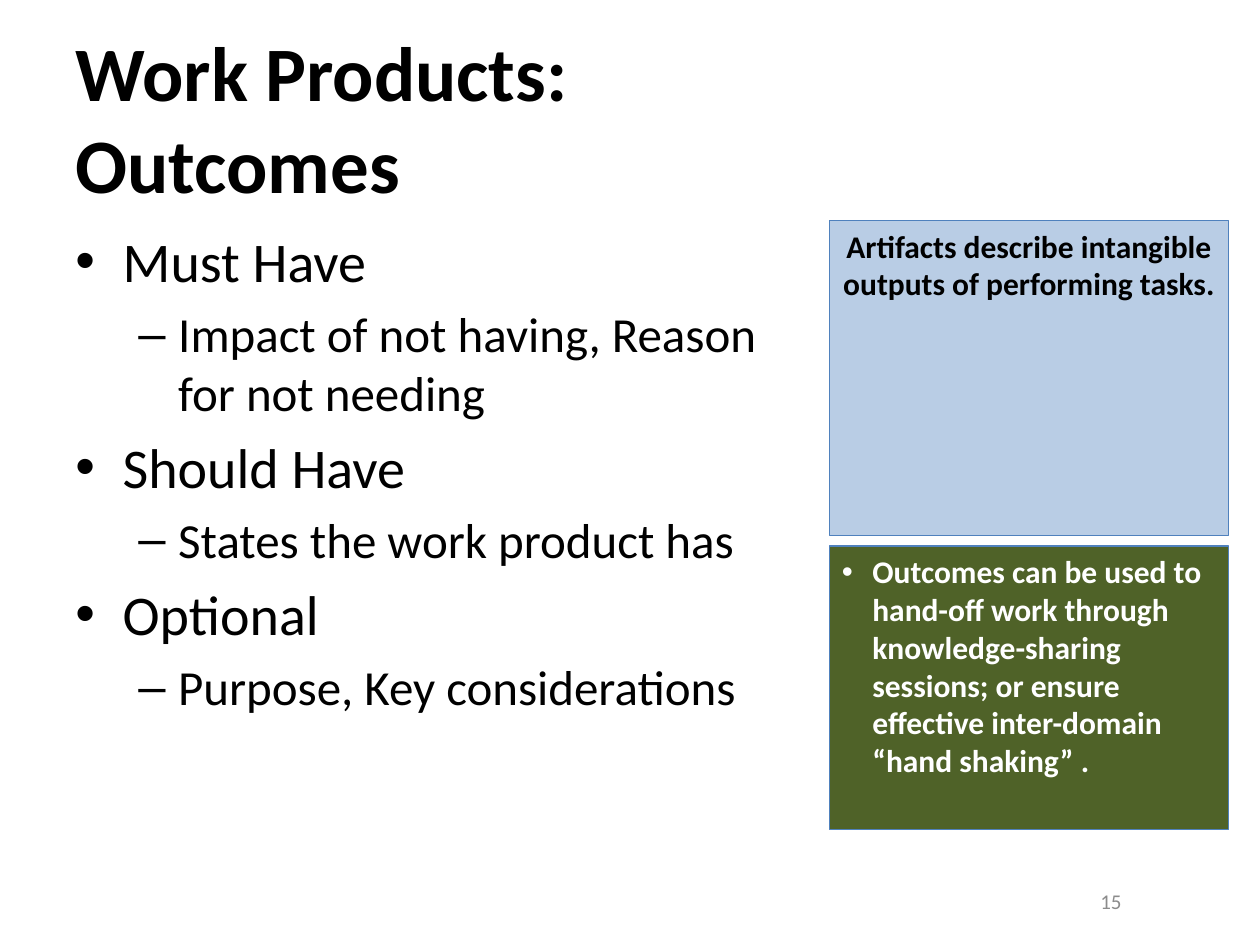
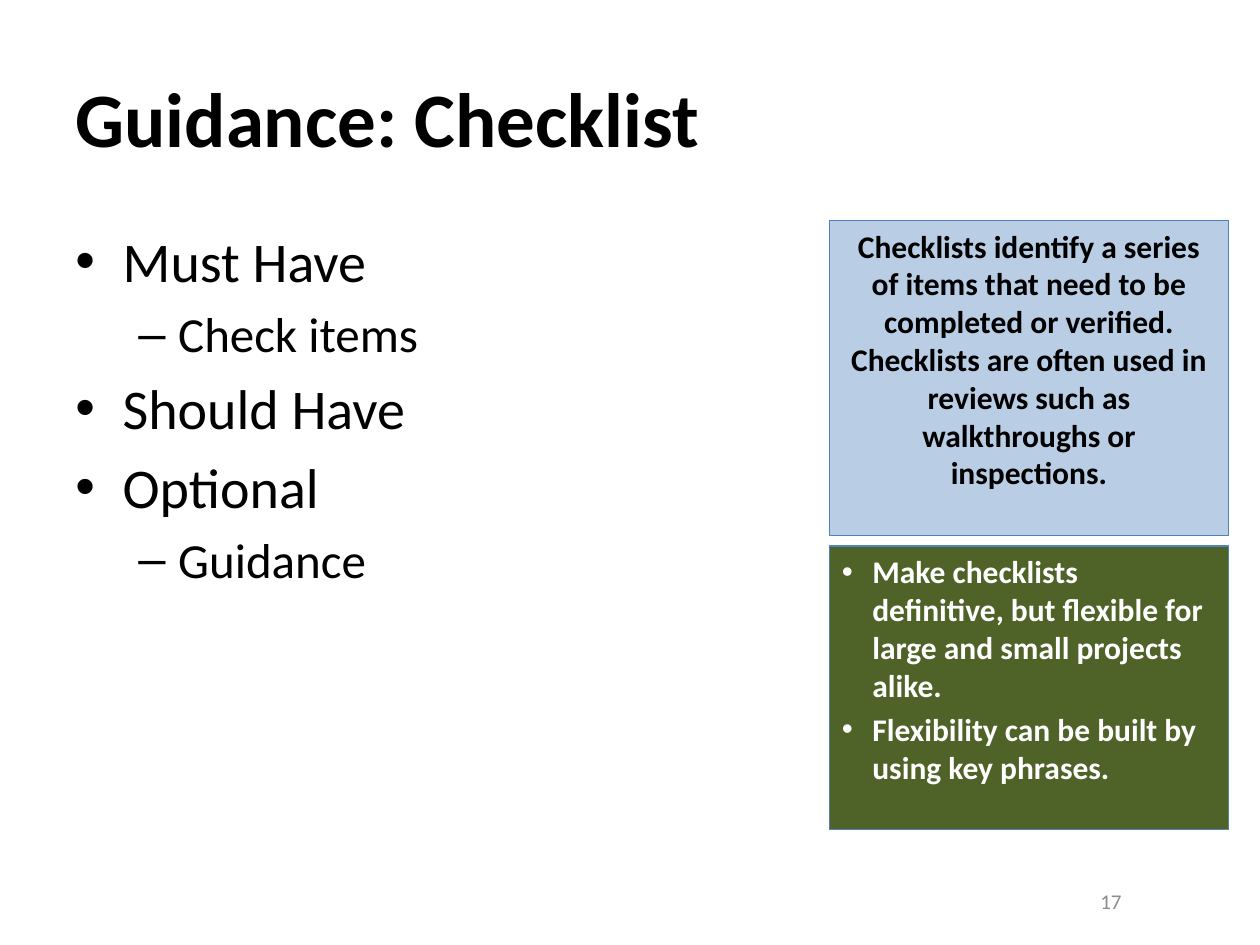
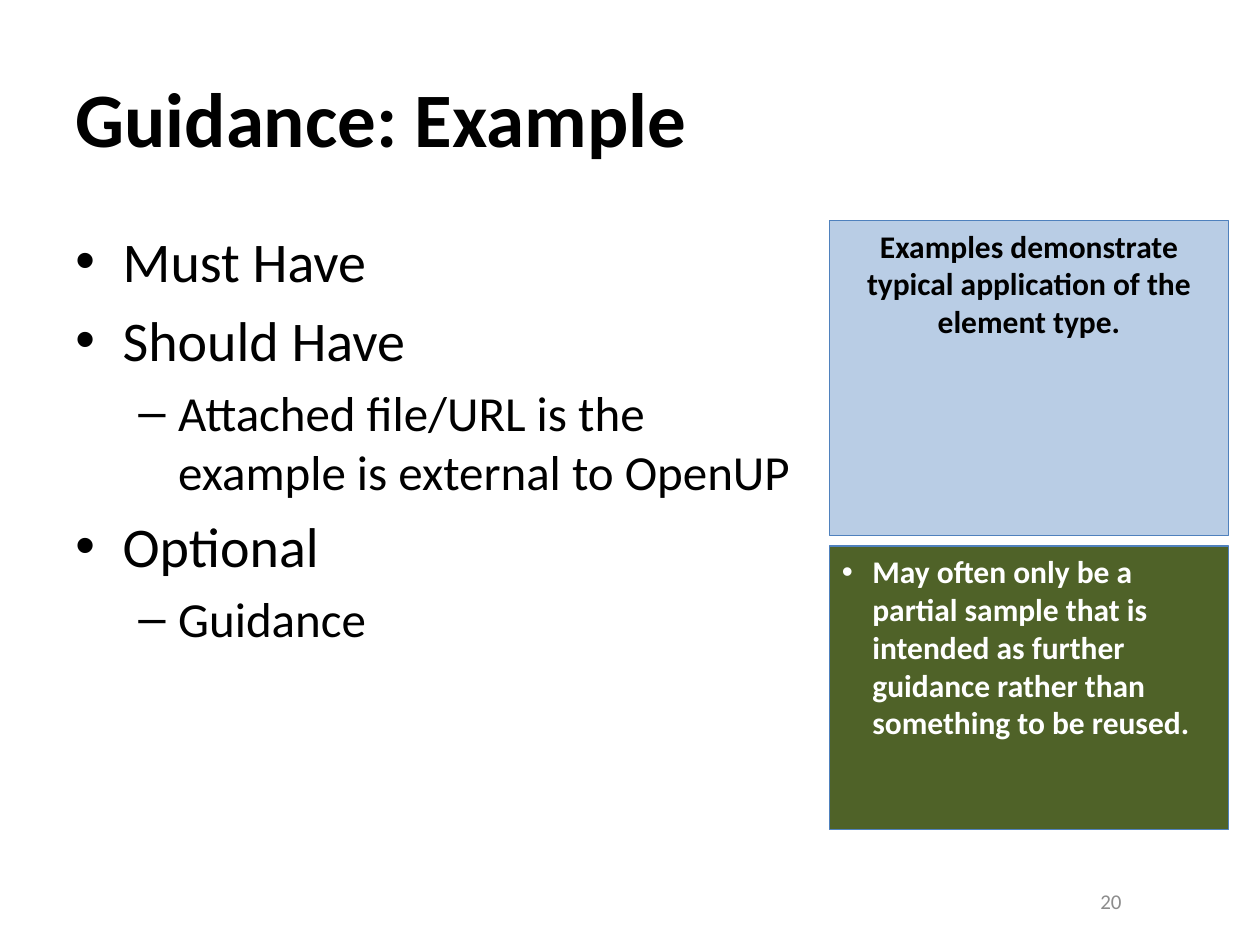
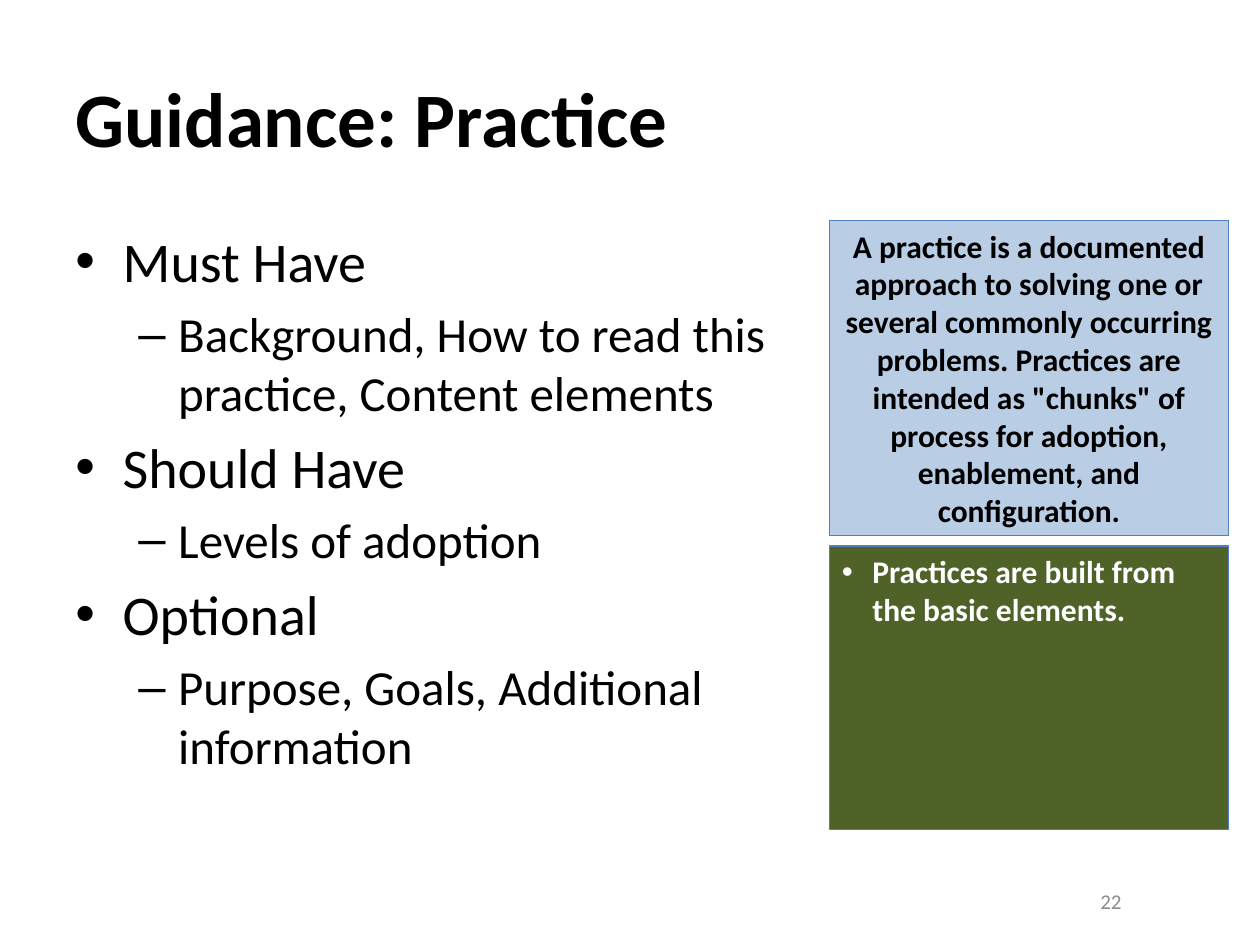
from dataclasses import dataclass

from lxml import etree
from pptx import Presentation
from pptx.dml.color import RGBColor
from pptx.enum.shapes import MSO_SHAPE
from pptx.enum.text import MSO_ANCHOR, MSO_AUTO_SIZE, PP_ALIGN
from pptx.oxml.ns import qn
from pptx.util import Pt

RECT = MSO_SHAPE.RECTANGLE
TOP, MIDDLE = MSO_ANCHOR.TOP, MSO_ANCHOR.MIDDLE
LEFT, CENTER, RIGHT = PP_ALIGN.LEFT, PP_ALIGN.CENTER, PP_ALIGN.RIGHT
NO_FIT = MSO_AUTO_SIZE.NONE

BLACK = RGBColor(0x00, 0x00, 0x00)
WHITE = RGBColor(0xFF, 0xFF, 0xFF)
GREY = RGBColor(0x8C, 0x8C, 0x8C)
PALE_BLUE = RGBColor(0xB9, 0xCD, 0xE5)
EDGE_BLUE = RGBColor(0x4F, 0x81, 0xBD)
GREEN = RGBColor(0x4F, 0x62, 0x28)

FONT = "Calibri"
PX = 7620  # EMU, 120 px to the inch
TITLE_ONLY = 5
SPACE_BEFORE = 0.2  # share of the text size


@dataclass(frozen=True)
class Box:
    left: int
    top: int
    width: int
    height: int

    def emu(self) -> list[int]:
        return [v * PX for v in (self.left, self.top, self.width, self.height)]


@dataclass(frozen=True)
class Style:
    size: int
    color: RGBColor = BLACK
    bold: bool = False
    align: PP_ALIGN = LEFT
    bullet: str = ""
    margin: int = 0
    hang: int = 0


@dataclass(frozen=True)
class Panel:
    box: Box
    fill: RGBColor
    style: Style
    inset_right: int = 12


@dataclass(frozen=True)
class Page:
    number: int
    title: str
    sections: dict[str, str]
    definition: str
    tips: tuple[str, ...]


TITLE_BOX = Box(60, 36, 1080, 150)
BODY_BOX = Box(60, 210, 720, 580)
NUMBER_BOX = Box(860, 834, 220, 48)

TITLE = Style(44, bold=True)
HEADING = Style(32, bullet="•", margin=45, hang=45)
DETAIL = Style(28, bullet="–", margin=98, hang=38)
NUMBER = Style(12, GREY, align=RIGHT)
DEFINITION = Panel(Box(790, 210, 380, 300), PALE_BLUE,
                   Style(18, bold=True, align=CENTER))
TIPS = Panel(Box(790, 520, 380, 270), GREEN,
             Style(18, WHITE, True, bullet="•", margin=29, hang=29), 18)

PAGES = [
    Page(15, "Work Products:\vOutcomes",
         {"Must Have": "Impact of not having, Reason for not needing",
          "Should Have": "States the work product has",
          "Optional": "Purpose, Key considerations"},
         "Artifacts describe intangible outputs of performing tasks.",
         ("Outcomes can be used to hand-off work through knowledge-sharing "
          "sessions; or ensure effective inter-domain “hand shaking” .",)),
    Page(17, "Guidance: Checklist",
         {"Must Have": "Check items", "Should Have": "", "Optional": "Guidance"},
         "Checklists identify a series of items that need to be completed or "
         "verified. Checklists are often used in reviews such as walkthroughs "
         "or inspections.",
         ("Make checklists definitive, but flexible for large and small "
          "projects alike.",
          "Flexibility can be built by using key phrases.")),
    Page(20, "Guidance: Example",
         {"Must Have": "",
          "Should Have": "Attached file/URL is the example is external to OpenUP",
          "Optional": "Guidance"},
         "Examples demonstrate typical application of the element type.",
         ("May often only be a partial sample that is intended as further "
          "guidance rather than something to be reused.",)),
    Page(22, "Guidance: Practice",
         {"Must Have": "Background, How to read this practice, Content elements",
          "Should Have": "Levels of adoption",
          "Optional": "Purpose, Goals, Additional information"},
         "A practice is a documented approach to solving one or several "
         "commonly occurring problems. Practices are intended as \"chunks\" of "
         "process for adoption, enablement, and configuration.",
         ("Practices are built from the basic elements.",)),
]


def set_attrs(target, values: dict) -> None:
    for name, value in values.items():
        setattr(target, name, value)


def add_bullet(p, style: Style) -> None:
    pPr = p._p.get_or_add_pPr()
    pPr.set("marL", str(style.margin * PX))
    pPr.set("indent", str(-style.hang * PX))
    etree.SubElement(pPr, qn("a:buFont")).set("typeface", "Arial")
    etree.SubElement(pPr, qn("a:buChar")).set("char", style.bullet)


def write(tf, lines: list[tuple[str, Style]], anchor: MSO_ANCHOR = TOP) -> None:
    """Fill a text frame with one styled paragraph per line."""
    set_attrs(tf, {"word_wrap": True, "auto_size": NO_FIT,
                   "vertical_anchor": anchor})
    for i, (text, style) in enumerate(lines):
        p = tf.add_paragraph() if i else tf.paragraphs[0]
        p.text = text
        p.alignment = style.align
        if style.bullet:
            add_bullet(p, style)
        if i:
            p.space_before = Pt(style.size * SPACE_BEFORE)
        for r in p.runs:
            set_attrs(r.font, {"name": FONT, "size": Pt(style.size),
                               "bold": style.bold})
            r.font.color.rgb = style.color


def add_title(s, text: str) -> None:
    sp = s.shapes.title
    sp.left, sp.top, sp.width, sp.height = TITLE_BOX.emu()
    write(sp.text_frame, [(text, TITLE)], MIDDLE)


def add_text(s, box: Box, lines: list[tuple[str, Style]],
             anchor: MSO_ANCHOR = TOP) -> None:
    write(s.shapes.add_textbox(*box.emu()).text_frame, lines, anchor)


def add_panel(s, panel: Panel, texts: tuple[str, ...]) -> None:
    sp = s.shapes.add_shape(RECT, *panel.box.emu())
    sp.shadow.inherit = False
    sp.fill.solid()
    sp.fill.fore_color.rgb = panel.fill
    sp.line.color.rgb = EDGE_BLUE
    sp.line.width = Pt(0.75)
    sp.text_frame.margin_right = panel.inset_right * PX
    write(sp.text_frame, [(text, panel.style) for text in texts])


def section_lines(sections: dict[str, str]) -> list[tuple[str, Style]]:
    lines = []
    for heading, detail in sections.items():
        lines.append((heading, HEADING))
        if detail:
            lines.append((detail, DETAIL))
    return lines


def add_page(prs, page: Page) -> None:
    s = prs.slides.add_slide(prs.slide_layouts[TITLE_ONLY])
    add_title(s, page.title)
    add_text(s, NUMBER_BOX, [(str(page.number), NUMBER)], MIDDLE)
    add_text(s, BODY_BOX, section_lines(page.sections))
    add_panel(s, DEFINITION, (page.definition,))
    add_panel(s, TIPS, page.tips)


def main() -> None:
    prs = Presentation()
    prs.slide_width, prs.slide_height = 1200 * PX, 900 * PX
    for page in PAGES:
        add_page(prs, page)
    prs.save("out.pptx")


if __name__ == "__main__":
    main()
